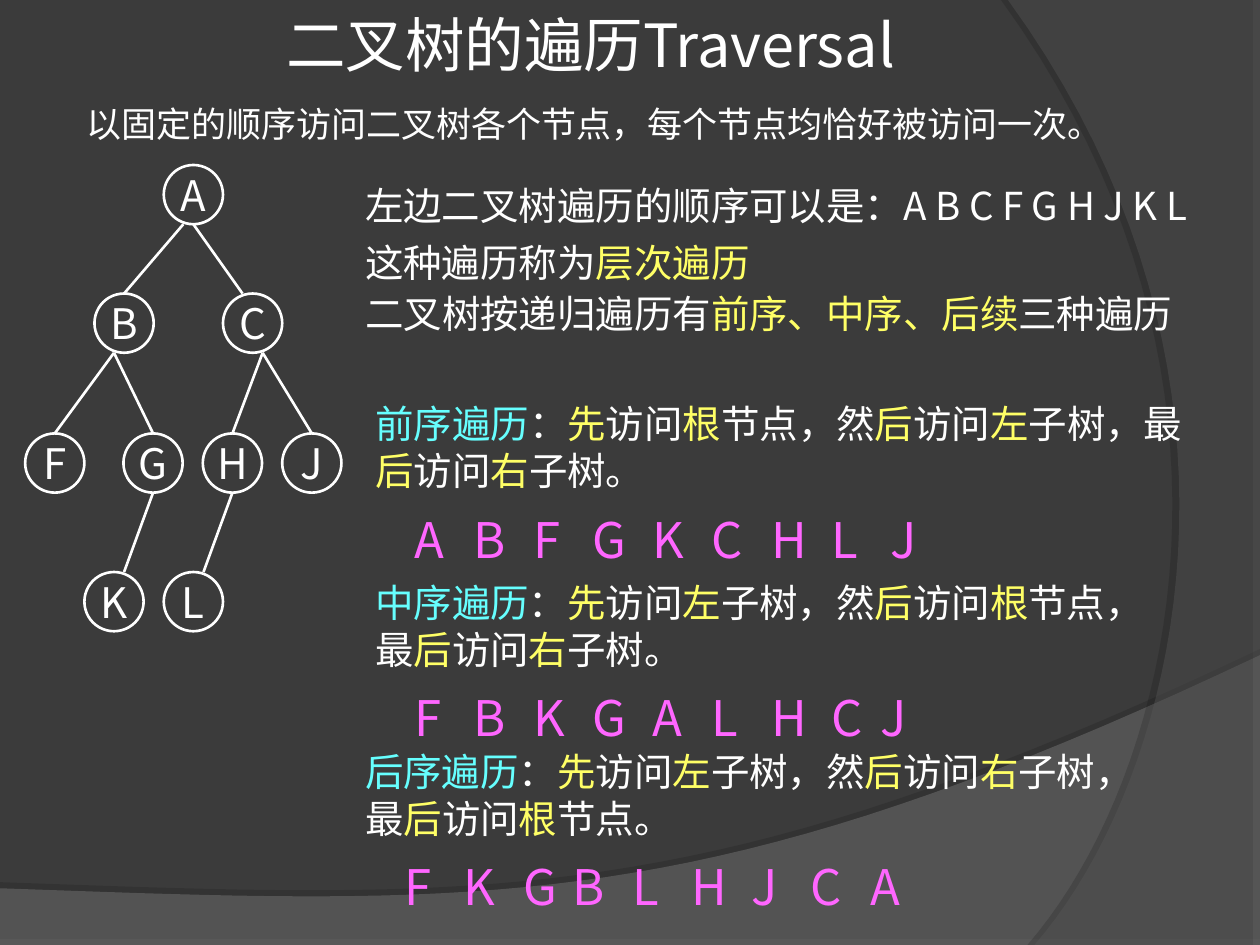
from dataclasses import dataclass

from lxml import etree
from pptx import Presentation
from pptx.dml.color import RGBColor
from pptx.enum.shapes import MSO_CONNECTOR, MSO_SHAPE
from pptx.enum.text import MSO_ANCHOR, PP_ALIGN
from pptx.oxml.ns import qn
from pptx.util import Inches, Pt

LEFT, CENTER = PP_ALIGN.LEFT, PP_ALIGN.CENTER
TOP, MIDDLE, BOTTOM = MSO_ANCHOR.TOP, MSO_ANCHOR.MIDDLE, MSO_ANCHOR.BOTTOM
OVAL, STRAIGHT = MSO_SHAPE.OVAL, MSO_CONNECTOR.STRAIGHT


@dataclass(frozen=True)
class Theme:
    background: str = "3B3B3B"
    wave: str = "7C7C7C"
    arc: str = "595959"
    text: str = "FFFFFF"
    key: str = "FFFF66"
    term: str = "66FFFF"
    visit: str = "FF66FF"
    sans: str = "Noto Sans CJK JP"
    sans_sc: str = "Noto Sans CJK SC"
    title_size: float = 34
    visit_size: float = 28
    node_size: float = 24
    body_size: float = 22
    intro_size: float = 20
    leading: float = 1.22


THEME = Theme()
NODE_SIZE = 0.47

# Left and top of each tree node
NODES = {
    "A": (1.3, 1.31),
    "B": (0.75, 2.33), "C": (1.77, 2.33),
    "F": (0.2, 3.44), "G": (0.98, 3.44), "H": (1.61, 3.44), "J": (2.24, 3.44),
    "K": (0.67, 4.54), "L": (1.3, 4.54),
}
# Parent, child, and how far each end lies from the middle of its node
EDGES = [
    ("A", "B", -0.08, 0), ("A", "C", 0, -0.08),
    ("B", "F", -0.08, 0), ("B", "G", -0.08, 0),
    ("C", "H", 0.08, 0), ("C", "J", 0.08, 0),
    ("G", "K", 0, 0.08), ("H", "L", 0, 0.08),
]
# Term, rule with *key* words, box, visiting order, its left and top,
# and the letter from which the row moves a little to the left
TRAVERSALS = [
    ("前序遍历", "：*先*访问*根*节点，然*后*访问*左*子树，最*后*访问*右*子树。",
     (2.88, 3.12, 6.69, 0.84), "ABFGKCHLJ", 3.19, 3.99, None),
    ("中序遍历", "：*先*访问*左*子树，然*后*访问*根*节点，最*后*访问*右*子树。",
     (2.88, 4.54, 6.53, 0.84), "FBKGALHCJ", 3.19, 5.4, 8),
    ("后序遍历", "：*先*访问*左*子树，然*后*访问*右*子树，最*后*访问*根*节点。",
     (2.8, 5.88, 6.54, 0.84), "FKGBLHJCA", 3.11, 6.74, 3),
]


def rgb(color):
    return RGBColor.from_string(color)


def add_run(paragraph, text, size, font, color):
    run = paragraph.add_run()
    run.text = text
    run.font.size = Pt(size)
    run.font.name = font
    run.font.color.rgb = rgb(color)
    east_asian = etree.SubElement(run.font._element, qn("a:ea"))
    east_asian.set("typeface", font)


def write(frame, *lines, term="", size=THEME.body_size, font=THEME.sans_sc,
          color=THEME.text, align=LEFT, anchor=TOP, leading=None, before=0,
          wrap=True):
    """Fill a text frame; words between asterisks take the key colour."""
    frame.word_wrap = wrap
    frame.vertical_anchor = anchor
    for index, line in enumerate(lines):
        paragraph = frame.add_paragraph() if index else frame.paragraphs[0]
        paragraph.alignment = align
        if leading:
            paragraph.line_spacing = Pt(round(size * leading, 1))
        if index:
            paragraph.space_before = Pt(before)
        if term:
            add_run(paragraph, term, size, font, THEME.term)
        for part, text in enumerate(line.split("*")):
            if text:
                add_run(paragraph, text, size, font,
                        THEME.key if part % 2 else color)


def add_text(slide, box, *lines, **text_format):
    frame = slide.shapes.add_textbox(*map(Inches, box)).text_frame
    text_format.setdefault("leading", THEME.leading)
    write(frame, *lines, **text_format)
    return frame


def bezier(start, control_1, control_2, end, steps=40):
    points = []
    for step in range(steps + 1):
        t = step / steps
        weights = ((1 - t) ** 3, 3 * t * (1 - t) ** 2, 3 * t * t * (1 - t), t ** 3)
        points.append(tuple(
            sum(w * p for w, p in zip(weights, axis))
            for axis in zip(start, control_1, control_2, end)))
    return points


def add_backdrop(slide, points, color, opacity, shade, distance, direction):
    corners = [(Inches(x), Inches(y)) for x, y in points]
    builder = slide.shapes.build_freeform(*corners[0])
    builder.add_line_segments(corners[1:], close=True)
    area = builder.convert_to_shape()
    area.line.fill.background()
    area.fill.solid()
    area.fill.fore_color.rgb = rgb(color)
    properties = area._element.spPr
    fill_color = properties.find(qn("a:solidFill")).find(qn("a:srgbClr"))
    etree.SubElement(fill_color, qn("a:alpha")).set("val", str(opacity * 1000))
    # Hard-edged shadow along the curve
    effects = etree.SubElement(properties, qn("a:effectLst"))
    shadow = etree.SubElement(effects, qn("a:outerShdw"), blurRad="0",
                              dist=str(Pt(distance)), dir=str(direction * 60000),
                              algn="ctr", rotWithShape="0")
    shadow_color = etree.SubElement(shadow, qn("a:srgbClr"), val="000000")
    etree.SubElement(shadow_color, qn("a:alpha")).set("val", str(shade * 1000))


def add_node(tree, letter, left, top):
    node = tree.shapes.add_shape(OVAL, Inches(left), Inches(top),
                                 Inches(NODE_SIZE), Inches(NODE_SIZE))
    node.shadow.inherit = False
    node.fill.solid()
    node.fill.fore_color.rgb = rgb(THEME.background)
    node.line.color.rgb = rgb(THEME.text)
    node.line.width = Pt(1.5)
    write(node.text_frame, letter, size=THEME.node_size, font=THEME.sans,
          align=CENTER, anchor=MIDDLE, wrap=False)


def add_edge(tree, parent, child, parent_shift, child_shift):
    (parent_x, parent_y), (child_x, child_y) = NODES[parent], NODES[child]
    middle = NODE_SIZE / 2
    ends = (parent_x + middle + parent_shift, parent_y + NODE_SIZE,
            child_x + middle + child_shift, child_y)
    edge = tree.shapes.add_connector(STRAIGHT, *map(Inches, ends))
    edge.line.color.rgb = rgb(THEME.text)
    edge.line.width = Pt(1.5)
    etree.SubElement(edge._element.spPr, qn("a:effectLst"))


def add_visit_order(slide, letters, left, top, shift_from):
    step = 3.78 / 8
    for index, letter in enumerate(letters):
        shift = 0.08 if shift_from is not None and index >= shift_from else 0
        add_text(slide, (left + index * step - shift, top, 0.39, 0.57), letter,
                 size=THEME.visit_size, font=THEME.sans, color=THEME.visit,
                 align=CENTER)


def main():
    deck = Presentation()
    deck.slide_width, deck.slide_height = Inches(10), Inches(7.5)
    slide = deck.slides.add_slide(deck.slide_layouts[6])
    slide.background.fill.solid()
    slide.background.fill.fore_color.rgb = rgb(THEME.background)

    # Curved backdrop
    wave = bezier((10, 5.2), (5.59, 7.29), (3.91, 7.19), (0, 7.05))
    add_backdrop(slide, [(0, 7.5), (10, 7.5)] + wave, THEME.wave, 45, 27, 3.5, 270)
    arc = bezier((8.21, 7.5), (9.35, 6.19), (10.18, 3), (8, 0))
    add_backdrop(slide, [(10, 0), (10, 7.5)] + arc, THEME.arc, 40, 37, 4, 180)

    # Title and introduction
    title = add_text(slide, (0.51, 0, 8.36, 0.69), "二叉树的遍历Traversal",
                     size=THEME.title_size, font=THEME.sans, align=CENTER,
                     anchor=MIDDLE, leading=None)
    title.margin_left = title.margin_right = Inches(0.05)
    add_text(slide, (0.27, 0.76, 8.9, 0.44),
             "以固定的顺序访问二叉树各个节点，每个节点均恰好被访问一次。",
             size=THEME.intro_size, align=CENTER)
    level_order = add_text(slide, (2.8, 0.91, 7.2, 1.36),
                           "左边二叉树遍历的顺序可以是：A B C F G H J K L",
                           "这种遍历称为*层次遍历*", font=THEME.sans,
                           anchor=BOTTOM, leading=0.85, before=13.8)
    level_order.margin_bottom = Inches(0.01)
    add_text(slide, (2.8, 2.25, 6.69, 0.47),
             "二叉树按递归遍历有*前序、中序、后续*三种遍历")

    # Binary tree
    tree = slide.shapes.add_group_shape()
    for letter, (left, top) in NODES.items():
        add_node(tree, letter, left, top)
    for edge in EDGES:
        add_edge(tree, *edge)

    # Three recursive traversals
    for term, rule, box, letters, left, top, shift_from in TRAVERSALS:
        add_text(slide, box, rule, term=term)
        add_visit_order(slide, letters, left, top, shift_from)

    deck.save("out.pptx")


if __name__ == "__main__":
    main()
